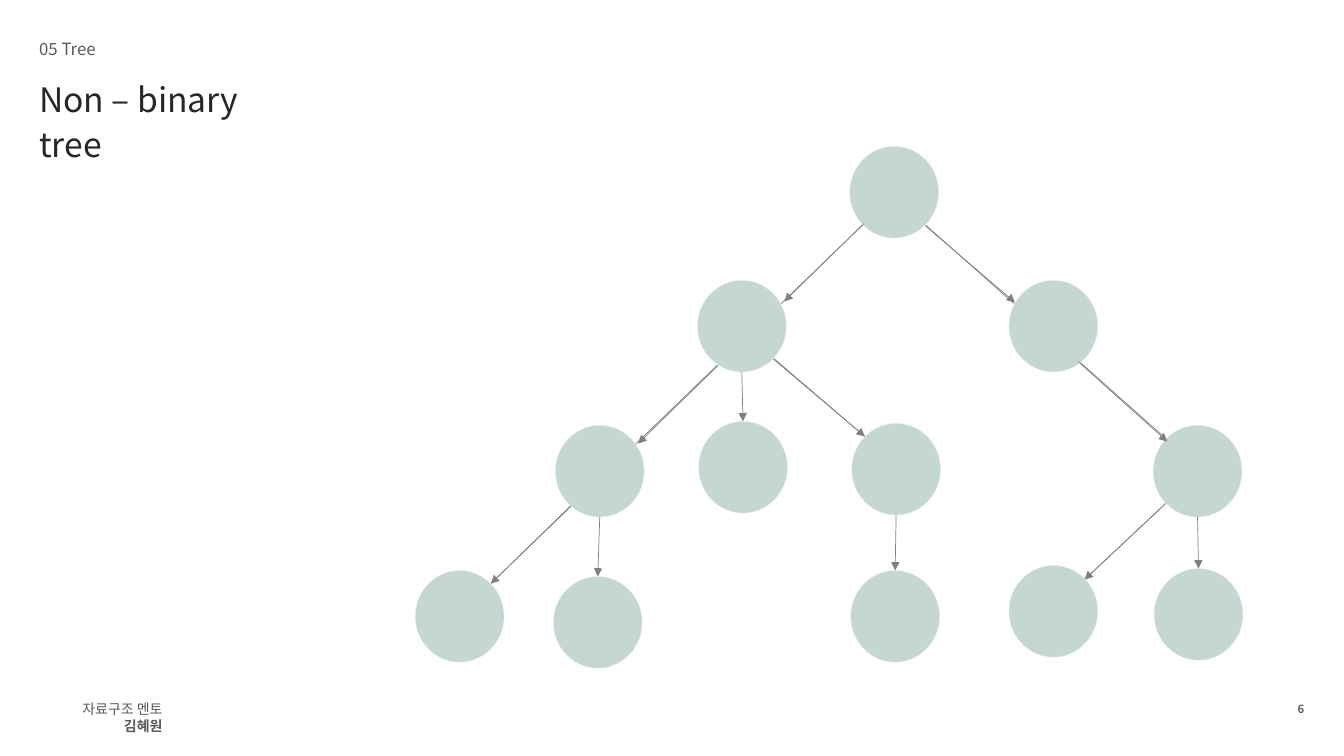
from pptx import Presentation
from pptx.dml.color import RGBColor
from pptx.enum.dml import MSO_LINE
from pptx.enum.shapes import MSO_CONNECTOR, MSO_SHAPE
from pptx.enum.text import MSO_ANCHOR, MSO_AUTO_SIZE, PP_ALIGN
from pptx.oxml.ns import qn
from pptx.util import Pt
from lxml import etree

SOLID = MSO_LINE.SOLID
STRAIGHT = MSO_CONNECTOR.STRAIGHT
NODE = MSO_SHAPE.FLOWCHART_CONNECTOR
TOP = MSO_ANCHOR.TOP
GROW = MSO_AUTO_SIZE.SHAPE_TO_FIT_TEXT
LEFT, RIGHT = PP_ALIGN.LEFT, PP_ALIGN.RIGHT

FONT = "Noto Sans CJK KR"
COLORS = {"title": "262626", "muted": "595959", "node": "C4D7D3",
          "outline": "EDEDED", "edge": "808080"}
NODE_WIDTH, NODE_HEIGHT = 63.4, 65.5


class TreeSlide:
    def __init__(self, deck):
        self.slide = deck.slides.add_slide(deck.slide_layouts[5])
        self.shapes = self.slide.shapes

    def color(self, name):
        return RGBColor.from_string(COLORS[name])

    def format_text(self, box, size, color, align=LEFT, wrap=False):
        frame = box.text_frame
        frame.margin_left = frame.margin_right = 0
        frame.margin_top = frame.margin_bottom = 0
        frame.vertical_anchor = TOP
        frame.word_wrap = wrap
        frame.auto_size = GROW
        paragraph = frame.paragraphs[0]
        paragraph.alignment = align
        for run in paragraph.runs:
            run.font.name = FONT
            run.font.size = Pt(size)
            run.font.color.rgb = self.color(color)
            east_asian = etree.SubElement(run.font._element, qn("a:ea"))
            east_asian.set("typeface", FONT)
        return paragraph

    def title(self, text, bounds, size):
        heading = self.shapes.title
        heading.left, heading.top, heading.width, heading.height = map(Pt, bounds)
        heading.text_frame.text = text
        self.format_text(heading, size, "title", wrap=True).line_spacing = 1.14

    def text(self, plain, bounds, size, align=LEFT, wrap=False, strong=""):
        box = self.shapes.add_textbox(*map(Pt, bounds))
        paragraph = box.text_frame.paragraphs[0]
        for part, bold in ((plain, False), (strong, True)):
            if part:
                run = paragraph.add_run()
                run.text = part
                run.font.bold = bold
        self.format_text(box, size, "muted", align, wrap)

    def node(self, left, top):
        circle = self.shapes.add_shape(
            NODE, Pt(left), Pt(top), Pt(NODE_WIDTH), Pt(NODE_HEIGHT))
        circle.shadow.inherit = False
        circle.fill.solid()
        circle.fill.fore_color.rgb = self.color("node")
        circle.line.color.rgb = self.color("outline")
        circle.line.width = Pt(0.25)

    def edge(self, start, end, arrow=True):
        edge = self.shapes.add_connector(STRAIGHT, *map(Pt, (*start, *end)))
        edge.line.color.rgb = self.color("edge")
        edge.line.width = Pt(0.5)
        edge.line.dash_style = SOLID
        if arrow:
            outline = edge.line._get_or_add_ln()
            etree.SubElement(outline, qn("a:tailEnd")).set("type", "triangle")
        etree.SubElement(edge._element.spPr, qn("a:effectLst"))


deck = Presentation()
deck.slide_width, deck.slide_height = Pt(960), Pt(540)
tree = TreeSlide(deck)

tree.title("Non – binary tree", (28, 52, 188, 32), 24)
tree.text("05 Tree", (28, 28, 41, 14.4), 12)
tree.text("자료구조 멘토 ", (32, 500.4, 84, 12.2), 10, RIGHT, True, "김혜원")
tree.text("", (913, 501.8, 18.7, 9.4), 8, RIGHT, strong="6")

nodes = {
    "root": (607, 104.5),
    "left": (498.2, 200.2), "right": (720.7, 200.2),
    "left first": (396.7, 303.8), "left second": (499, 301),
    "left third": (608.4, 302.4), "right only": (823.7, 303.8),
    "leaf 1": (296.6, 407.5), "leaf 2": (395.3, 411.8),
    "leaf 3": (607.7, 407.5), "leaf 4": (720.7, 403.9),
    "leaf 5": (824.4, 406.1),
}
branch_lines = [
    ((616.3, 160.6), (350.6, 416.9)),
    ((661, 160.6), (842.4, 321.8)),
    ((833, 359.3), (775.4, 413.3)),
    ((552.2, 256.3), (617.8, 311.8)),
]
slanted_arrows = [
    ((617, 159.8), (560.2, 215.3)),
    ((661, 161.3), (725, 216)),
    ((512.6, 261.4), (455.8, 316.8)),
    ((553, 256.3), (617.8, 311.8)),
    ((770.4, 258.5), (833.8, 315.4)),
    ((832.3, 360), (774.7, 414)),
    ((407.5, 361.4), (350.6, 416.9)),
]
straight_children = [
    ("left", "left second"), ("left first", "leaf 2"),
    ("left third", "leaf 3"), ("right only", "leaf 5"),
]

for start, end in branch_lines:
    tree.edge(start, end, arrow=False)
for left, top in nodes.values():
    tree.node(left, top)
for start, end in slanted_arrows:
    tree.edge(start, end)
for parent, child in straight_children:
    parent_left, parent_top = nodes[parent]
    child_left, child_top = nodes[child]
    tree.edge((parent_left + NODE_WIDTH / 2, parent_top + NODE_HEIGHT),
              (child_left + NODE_WIDTH / 2, child_top))

deck.save("out.pptx")
